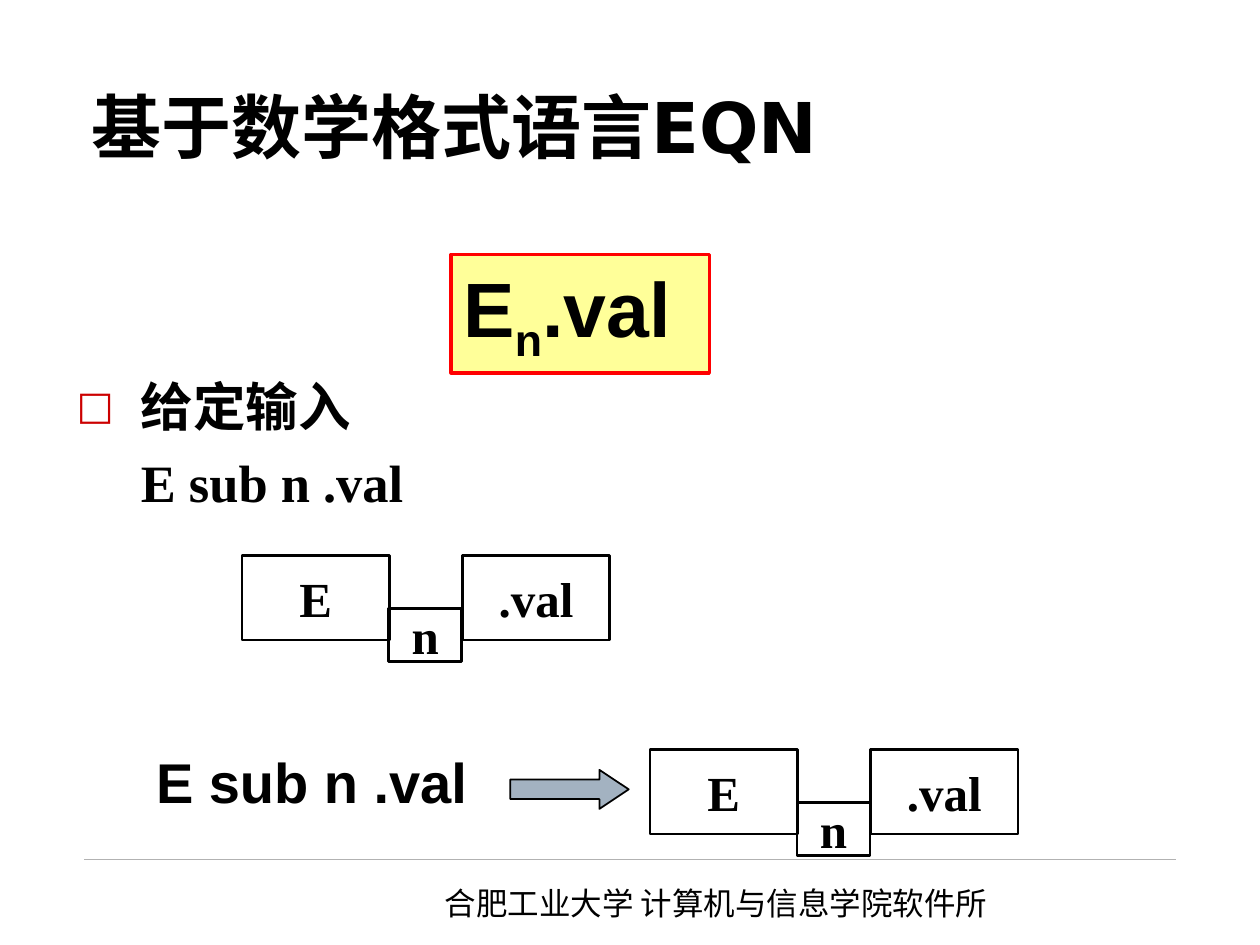
from dataclasses import dataclass

from lxml import etree
from pptx import Presentation
from pptx import util as u
from pptx.dml.color import RGBColor
from pptx.enum import shapes, text
from pptx.oxml.ns import qn

Inches, Pt = u.Inches, u.Pt


@dataclass(frozen=True)
class Theme:
    ink: str = "000000"
    accent: str = "CC0000"
    formula_fill: str = "FFFF99"
    formula_line: str = "FF0000"
    arrow_fill: str = "A3B2C1"
    rule: str = "B2B2B2"
    title_pt: int = 40
    formula_pt: int = 44
    input_pt: int = 32
    body_pt: int = 30
    box_pt: int = 28
    footer_pt: int = 18
    sans: str = "Arial"
    serif: str = "Times New Roman"
    heading: str = "DejaVu Sans"
    chinese: str = "Noto Sans CJK SC"


theme = Theme()


def write(paragraph, words, size, font, bold=True, align=text.PP_ALIGN.LEFT, before=0):
    """Add one run of formatted text and return it."""
    paragraph.alignment = align
    paragraph.space_before = Pt(before)
    run = paragraph.add_run()
    run.text = words
    run.font.size, run.font.name, run.font.bold = Pt(size), font, bold
    run.font.color.rgb = RGBColor.from_string(theme.ink)
    east_asian = etree.SubElement(run.font._element, qn("a:ea"))
    east_asian.set("typeface", theme.chinese)
    return run


def draw(parent, kind, left, top, width, height, fill=None, line=theme.ink, weight=1.5):
    """Add an outlined preset shape without shadow."""
    shape = parent.add_shape(kind, Inches(left), Inches(top), Inches(width), Inches(height))
    shape.shadow.inherit = False
    if fill:
        shape.fill.solid()
        shape.fill.fore_color.rgb = RGBColor.from_string(fill)
    else:
        shape.fill.background()
    shape.line.color.rgb = RGBColor.from_string(line)
    shape.line.width = Pt(weight)
    return shape


prs = Presentation()
prs.slide_width, prs.slide_height = Inches(10), Inches(7.5)
slide = prs.slides.add_slide(prs.slide_layouts[5])

# Footer rule and department
rule = slide.shapes.add_connector(
    shapes.MSO_CONNECTOR.STRAIGHT, Inches(0.67), Inches(6.82), Inches(9.33), Inches(6.82))
rule.line.color.rgb = RGBColor.from_string(theme.rule)
rule.line.width = Pt(0.25)
etree.SubElement(rule._element.spPr, qn("a:effectLst"))

footer = slide.shapes.add_textbox(Inches(3.43), Inches(6.97), Inches(5.2), Inches(0.4))
footer.text_frame.word_wrap = True
write(footer.text_frame.paragraphs[0], "合肥工业大学 计算机与信息学院软件所",
      theme.footer_pt, theme.chinese, bold=False, before=11.2)

# Title
title = slide.shapes.title
title.left, title.top = Inches(0.63), Inches(0.33)
title.width, title.height = Inches(8.75), Inches(1.33)
title.text_frame.vertical_anchor = text.MSO_ANCHOR.MIDDLE
write(title.text_frame.paragraphs[0], "基于数学格式语言EQN", theme.title_pt, theme.heading)

# Given input: bulleted heading with the expression below it
given = slide.shapes.add_textbox(Inches(0.51), Inches(2.92), Inches(9), Inches(1.26))
given.text_frame.word_wrap = True
heading = given.text_frame.paragraphs[0]
expression = given.text_frame.add_paragraph()
for paragraph, words in ((heading, "给定输入"), (expression, "E sub n .val")):
    write(paragraph, words, theme.body_pt, theme.serif, before=7.5)
    paragraph._p.get_or_add_pPr().set("marL", str(Inches(0.51)))

heading_format = heading._p.get_or_add_pPr()
heading_format.set("indent", str(Inches(-0.51)))
bullet_color = etree.SubElement(heading_format, qn("a:buClr"))
etree.SubElement(bullet_color, qn("a:srgbClr")).set("val", theme.accent)
for tag, key, value in (("a:buSzPct", "val", "75000"),
                        ("a:buFont", "typeface", theme.heading),
                        ("a:buChar", "char", "□")):
    etree.SubElement(heading_format, qn(tag)).set(key, value)

# Formula with a subscript
formula = draw(slide.shapes, shapes.MSO_SHAPE.RECTANGLE, 3.58, 2.02, 2.05, 0.94,
               fill=theme.formula_fill, line=theme.formula_line, weight=2)
formula.text_frame.vertical_anchor = text.MSO_ANCHOR.TOP
for words, baseline in (("E", 0), ("n", -25000), (".val", 0)):
    run = write(formula.text_frame.paragraphs[0], words, theme.formula_pt, theme.sans)
    if baseline:
        run.font._element.set("baseline", str(baseline))

# Box layouts: E and .val side by side, n lowered between them
TALL, LOW = (1.17, 0.67), (0.58, 0.42)
for left, top in ((1.92, 4.41), (5.16, 5.95)):
    layout = slide.shapes.add_group_shape()
    for words, dx, dy, (width, height) in (
            ("E", 0, 0, TALL), ("n", 1.165, 0.42, LOW), (".val", 1.75, 0, TALL)):
        box = draw(layout.shapes, shapes.MSO_SHAPE.RECTANGLE,
                   left + dx, top + dy, width, height)
        box.text_frame.word_wrap = False
        box.text_frame.vertical_anchor = text.MSO_ANCHOR.MIDDLE
        write(box.text_frame.paragraphs[0], words, theme.box_pt, theme.serif,
              align=text.PP_ALIGN.CENTER)

# Input expression and the arrow to its layout
source = slide.shapes.add_textbox(Inches(1.14), Inches(5.88), Inches(2.67), Inches(0.64))
source.text_frame.word_wrap = False
write(source.text_frame.paragraphs[0], "E sub n .val", theme.input_pt, theme.sans)

arrow = draw(slide.shapes, shapes.MSO_SHAPE.RIGHT_ARROW, 4.05, 6.11, 0.94, 0.31,
             fill=theme.arrow_fill, weight=1)
arrow.adjustments[0], arrow.adjustments[1] = 0.5, 0.75

prs.save("out.pptx")
